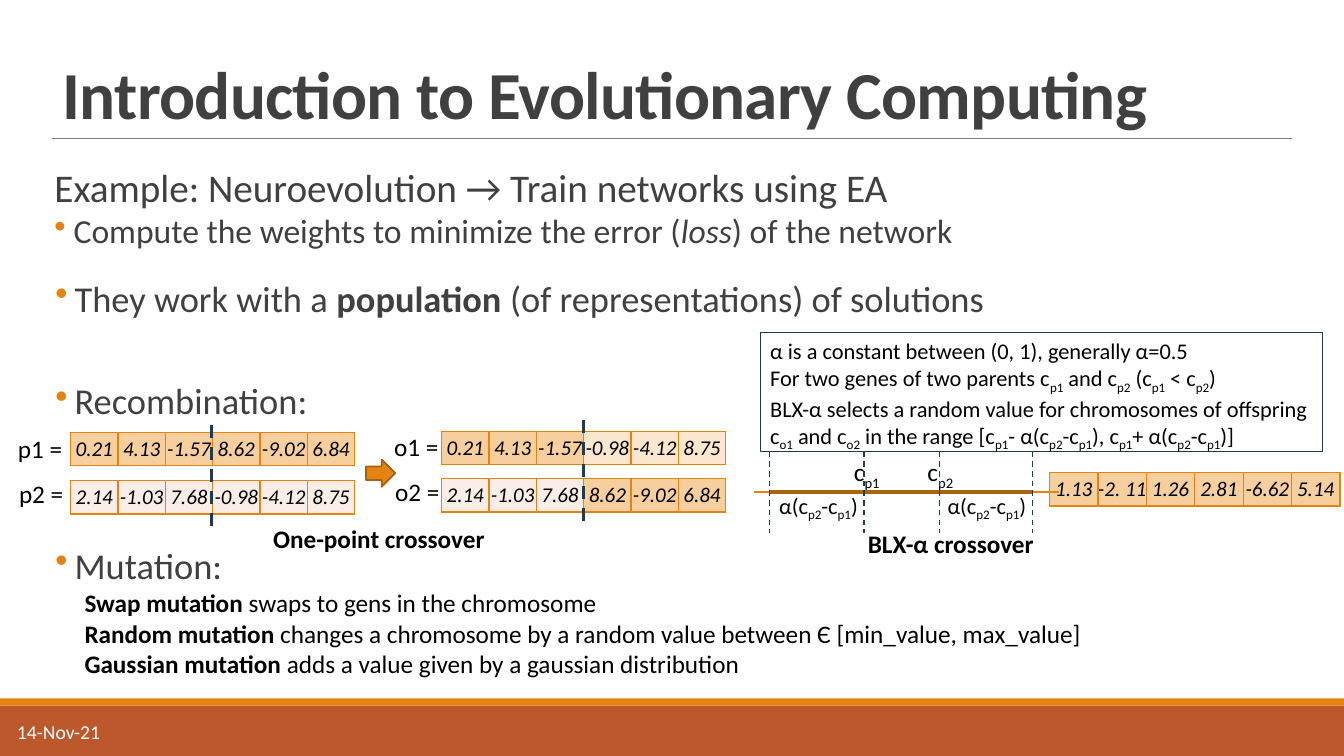
from lxml.etree import SubElement
from pptx import Presentation
from pptx.dml.color import RGBColor
from pptx.enum.dml import MSO_LINE
from pptx.enum.shapes import MSO_CONNECTOR, MSO_SHAPE
from pptx.enum.text import MSO_ANCHOR, MSO_AUTO_SIZE, PP_ALIGN
from pptx.oxml.ns import qn
from pptx.util import Pt

PX = 9144  # 100 px to the inch
ORANGE, RUST, BROWN, NAVY = "E48312", "BD582C", "A9610D", "203A4E"
GREY, BLACK, WHITE = "404040", "000000", "FFFFFF"
PARENT_1, PARENT_2, TAIL = "F7CE9D", "FAEDE7", "FBE6CE"


def rgb(code):
    return RGBColor.from_string(code)


def px(*lengths):
    return [length * PX for length in lengths]


def apply(target, values):
    for name, value in values.items():
        setattr(target, name, value)


class Sheet:
    """Holds the style and the current slide."""

    font = "Calibri"

    def __init__(self, width, height):
        self.deck = Presentation()
        apply(self.deck, {"slide_width": width * PX, "slide_height": height * PX})
        self.slide = self.deck.slides.add_slide(self.deck.slide_layouts[5])
        self.shapes = self.slide.shapes

    def run(self, paragraph, text, size, color, **look):
        run = paragraph.add_run()
        run.text = text
        apply(run.font, {"name": self.font, "size": Pt(size), **look})
        run.font.color.rgb = rgb(color)
        return run

    def add_runs(self, paragraph, text, size, color, accent="sub"):
        """Parts between ~ marks take the accent: sub, bold or italic."""
        for number, part in enumerate(text.split("~")):
            if not part:
                continue
            marked = number % 2 == 1
            look = {accent: True} if marked and accent != "sub" else {}
            run = self.run(paragraph, part, size, color, **look)
            if marked and accent == "sub":
                run.font._element.set("baseline", "-25000")

    def title(self, text, *box):
        title = self.shapes.title
        apply(title, dict(zip(("left", "top", "width", "height"), px(*box))))
        apply(title.text_frame, {"vertical_anchor": MSO_ANCHOR.BOTTOM,
                                 "auto_size": MSO_AUTO_SIZE.NONE, "word_wrap": True})
        heading = title.text_frame.paragraphs[0]
        apply(heading, {"alignment": PP_ALIGN.LEFT, "line_spacing": 0.85})
        run = self.run(heading, text, 48, GREY, bold=True)
        run.font._element.set("spc", "-50")

    def text(self, lines, *box, size=18, color=BLACK, accent="sub", wrap=False, **frame):
        label = self.shapes.add_textbox(*px(*box))
        apply(label.text_frame, {"word_wrap": wrap, **frame})
        for number, line in enumerate(lines):
            paragraphs = label.text_frame.paragraphs
            paragraph = label.text_frame.add_paragraph() if number else paragraphs[0]
            self.add_runs(paragraph, line, size, color, accent)
        return label

    def outline(self, items, *box):
        """Each item: text, size, accent, bulleted, space before in points."""
        body = self.shapes.add_textbox(*px(*box)).text_frame
        apply(body, {"word_wrap": True, "margin_left": 0, "margin_right": 0})
        for number, (text, size, accent, bulleted, gap) in enumerate(items):
            paragraph = body.add_paragraph() if number else body.paragraphs[0]
            if bulleted:
                self.bullet(paragraph)
            if number:
                paragraph.space_before = Pt(gap)
            self.add_runs(paragraph, text, size, GREY, accent)

    def bullet(self, paragraph):
        properties = paragraph._p.get_or_add_pPr()
        properties.set("marL", str(19 * PX))
        properties.set("indent", str(-19 * PX))
        color = SubElement(properties, qn("a:buClr"))
        SubElement(color, qn("a:srgbClr")).set("val", ORANGE)
        SubElement(properties, qn("a:buChar")).set("char", "•")

    def block(self, kind, fill, *box, edge=None):
        block = self.shapes.add_shape(kind, *px(*box))
        block.shadow.inherit = False
        block.fill.solid()
        block.fill.fore_color.rgb = rgb(fill)
        if edge:
            block.line.color.rgb = rgb(edge)
            block.line.width = Pt(1.25)
        else:
            block.line.fill.background()

    def line(self, color, width, *ends, dashed=False):
        line = self.shapes.add_connector(MSO_CONNECTOR.STRAIGHT, *px(*ends))
        line.line.color.rgb = rgb(color)
        line.line.width = Pt(width)
        if dashed:
            line.line.dash_style = MSO_LINE.DASH
        SubElement(line._element.spPr, qn("a:effectLst"))

    def chromosome(self, genes, fills, left, top, gene_width=47):
        width = gene_width * len(genes)
        table = self.shapes.add_table(1, len(genes), *px(left, top, width, 33)).table
        apply(table, {"first_row": False, "horz_banding": False})
        for cell, gene, fill in zip(table.rows[0].cells, genes, fills):
            apply(cell, {"margin_left": 0, "margin_right": 0, "margin_top": 0,
                         "margin_bottom": 0, "vertical_anchor": MSO_ANCHOR.MIDDLE})
            for side in ("lnL", "lnR", "lnT", "lnB"):
                border = SubElement(cell._tc.get_or_add_tcPr(), qn("a:" + side))
                border.set("w", str(Pt(1)))
                paint = SubElement(border, qn("a:solidFill"))
                SubElement(paint, qn("a:srgbClr")).set("val", ORANGE)
            cell.fill.solid()
            cell.fill.fore_color.rgb = rgb(fill)
            paragraph = cell.text_frame.paragraphs[0]
            paragraph.alignment = PP_ALIGN.CENTER
            self.run(paragraph, gene, 15, BLACK, italic=True)


def main():
    sheet = Sheet(1333, 750)

    # Footer bands, title and rule
    sheet.block(MSO_SHAPE.RECTANGLE, RUST, 0, 700, 1333, 50)
    sheet.block(MSO_SHAPE.RECTANGLE, ORANGE, 0, 693, 1333, 7)
    sheet.line("808080", 0.5, 52, 137, 1281, 137)
    sheet.title("Introduction to Evolutionary Computing", 52, 31, 1229, 106)
    sheet.text(["14-Nov-21"], 7, 706, 270, 40, size=14, color=WHITE, wrap=True,
               vertical_anchor=MSO_ANCHOR.MIDDLE)

    # Main points
    sheet.outline([
        ("Example: Neuroevolution → Train networks using EA", 28, "sub", False, 0),
        ("Compute the weights to minimize the error (~loss~) of the network",
         24, "italic", True, 0),
    ], 54, 157, 1226, 100)
    sheet.outline([
        ("They work with a ~population~ (of representations) of solutions",
         26, "bold", True, 0),
        ("Recombination:", 26, "sub", True, 42),
        ("Mutation:", 26, "sub", True, 86),
    ], 55, 269, 1226, 320)

    # One-point crossover
    parent_1 = ["0.21", "4.13", "-1.57", "8.62", "-9.02", "6.84"]
    parent_2 = ["2.14", "-1.03", "7.68", "-0.98", "-4.12", "8.75"]
    cut = 3
    crossover = [
        ("p1 =", 8, 425, parent_1, [PARENT_1] * 6, 70, 429),
        ("p2 =", 9, 470, parent_2, [PARENT_2] * 6, 70, 477),
        ("o1 =", 381, 423, parent_1[:cut] + parent_2[cut:],
         [PARENT_1] * 3 + [TAIL] * 3, 438, 428),
        ("o2 =", 382, 468, parent_2[:cut] + parent_1[cut:],
         [PARENT_2] * 3 + [PARENT_1] * 3, 438, 475),
    ]
    for name, name_left, name_top, genes, fills, left, top in crossover:
        sheet.text([name], name_left, name_top, 65, 40)
        sheet.chromosome(genes, fills, left, top)
    for cut_x, cut_top in ((210, 422), (579, 417)):
        sheet.line(NAVY, 2.25, cut_x, cut_top, cut_x, cut_top + 101, dashed=True)
    sheet.block(MSO_SHAPE.RIGHT_ARROW, ORANGE, 363, 456, 29, 27, edge=BROWN)
    sheet.text(["~One-point crossover~"], 261, 514, 231, 40, accent="bold")

    # BLX-α crossover
    sheet.chromosome(["1.13", "-2. 11", "1.26", "2.81", "-6.62", "5.14"],
                     [PARENT_1] * 6, 1041, 469, gene_width=48)
    rule = sheet.text([
        "α is a constant between (0, 1), generally α=0.5",
        "For two genes of two parents c~p1~ and c~p2~ (c~p1~ < c~p2~)",
        "BLX-α selects a random value for chromosomes of offspring c~o1~ and c~o2~"
        " in the range [c~p1~- α(c~p2~-c~p1~), c~p1~+ α(c~p2~-c~p1~)]",
    ], 754, 330, 558, 118, size=16, wrap=True)
    rule.line.color.rgb = rgb(NAVY)
    rule.line.width = Pt(0.75)
    sheet.line(ORANGE, 1, 748, 488, 1050, 488)
    for gene, left in (("c~p1~", 837), ("c~p2~", 910)):
        sheet.text([gene], left, 448, 48, 40)
    for left in (763, 930):
        sheet.text(["α(c~p2~-c~p1~)"], left, 483, 104, 37, size=16)
    sheet.line("AB620D", 3, 763, 488, 1024, 488)
    for bound in (763, 857, 932, 1024):
        sheet.line(NAVY, 1, bound, 448, bound, 529, dashed=True)
    sheet.text(["~BLX-α crossover~"], 851, 519, 187, 40, accent="bold")

    # Mutation kinds
    sheet.text([
        "~Swap mutation ~swaps to gens in the chromosome",
        "~Random mutation ~changes a chromosome by a random value between Є"
        " [min_value, max_value]",
        "~Gaussian mutation ~adds a value given by a gaussian distribution",
    ], 74, 578, 1040, 101, accent="bold", wrap=True)

    sheet.deck.save("out.pptx")


if __name__ == "__main__":
    main()
